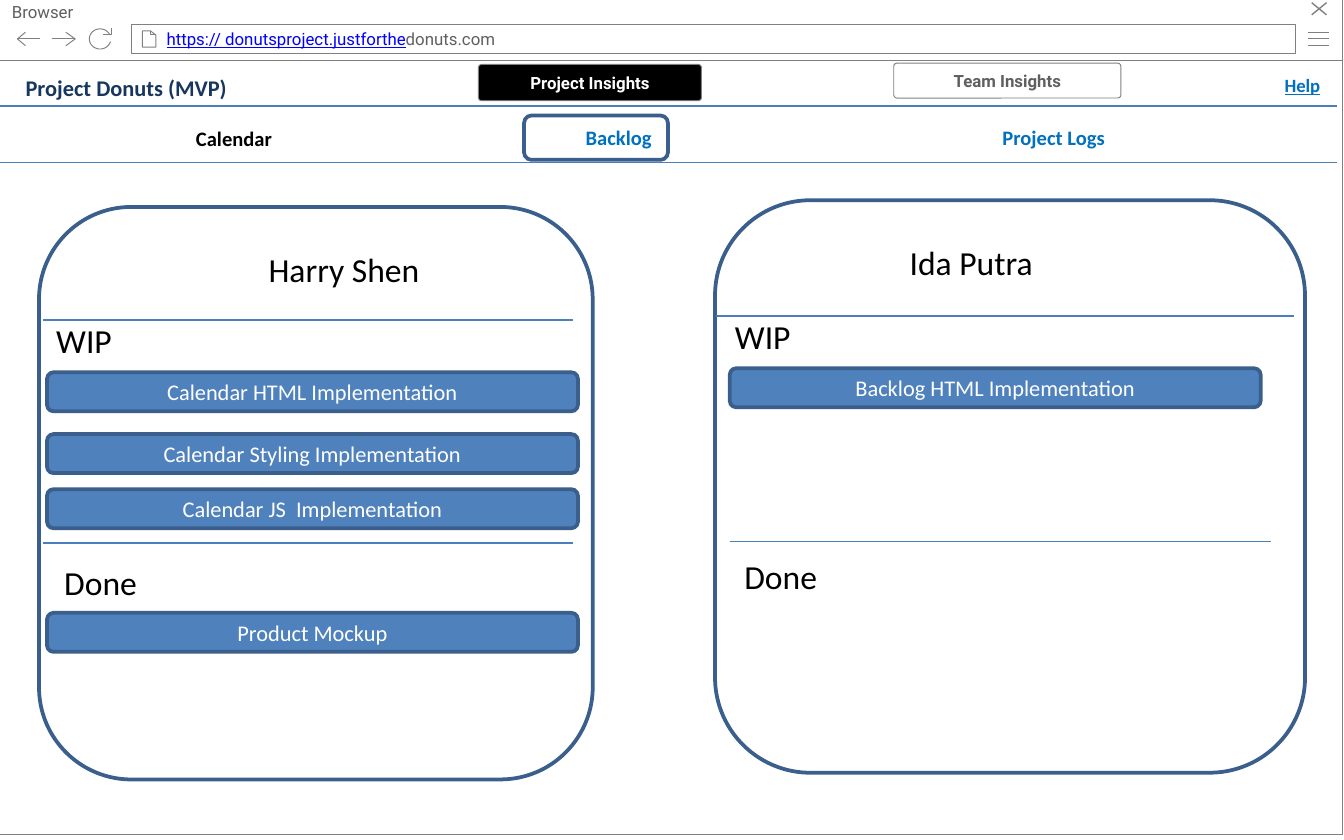
import math
from dataclasses import dataclass
from typing import Optional

import pptx
import pptx.dml.color
import pptx.enum.shapes
import pptx.enum.text
import pptx.oxml.ns
import pptx.util
from lxml import etree

Inches = pptx.util.Inches
ALIGN = pptx.enum.text.PP_ALIGN
ANCHOR = pptx.enum.text.MSO_ANCHOR
SHAPE = pptx.enum.shapes.MSO_SHAPE


@dataclass(frozen=True)
class Theme:
    body_font: str = "Calibri"
    chrome_font: str = "Roboto"
    white: str = "FFFFFF"
    black: str = "000000"
    gray: str = "808080"
    chrome_text: str = "5F5F5F"
    url: str = "0000FF"
    title: str = "17375E"
    link: str = "0070C0"
    card: str = "4F81BD"
    border: str = "3A5F8C"
    rule: str = "4B7EBC"
    chrome_size: float = 9
    help_size: float = 10
    tab_size: float = 11
    card_size: float = 12
    title_size: float = 12
    heading_size: float = 18
    thin: float = 0.5
    medium: float = 0.75
    thick: float = 2


T = Theme()


@dataclass(frozen=True)
class Box:
    x: float
    y: float
    w: float
    h: float

    def emu(self) -> tuple:
        return tuple(Inches(v) for v in (self.x, self.y, self.w, self.h))


@dataclass(frozen=True)
class Style:
    size: float
    color: str
    bold: bool = False
    underline: bool = False
    font: str = T.body_font


@dataclass(frozen=True)
class Label:
    text: str
    box: Box
    style: Style


@dataclass(frozen=True)
class Rule:
    x1: float
    x2: float
    y: float


@dataclass(frozen=True)
class Card:
    text: str
    x: float
    y: float


@dataclass(frozen=True)
class Column:
    panel: Box
    rules: tuple
    headings: tuple  # (text, x, y)
    cards: tuple


def rgb(color: str) -> pptx.dml.color.RGBColor:
    return pptx.dml.color.RGBColor.from_string(color)


def format_run(r, style: Style) -> None:
    r.font.name, r.font.size = style.font, pptx.util.Pt(style.size)
    r.font.bold, r.font.underline = style.bold, style.underline
    r.font.color.rgb = rgb(style.color)


def write(s, text: str, style: Style, align=ALIGN.LEFT, anchor=ANCHOR.TOP) -> None:
    tf = s.text_frame
    tf.word_wrap, tf.vertical_anchor = True, anchor
    tf.text = text
    p = tf.paragraphs[0]
    p.alignment = align
    format_run(p.runs[0], style)


def outline(s, color: str, width: float, fill: Optional[str] = None) -> None:
    s.shadow.inherit = False
    s.line.color.rgb, s.line.width = rgb(color), pptx.util.Pt(width)
    if fill:
        s.fill.solid()
        s.fill.fore_color.rgb = rgb(fill)
    else:
        s.fill.background()


def add_box(shapes, box: Box, color: str, width: float, fill: Optional[str] = None,
            kind=SHAPE.RECTANGLE):
    s = shapes.add_shape(kind, *box.emu())
    outline(s, color, width, fill)
    return s


def add_label(shapes, label: Label) -> None:
    write(shapes.add_textbox(*label.box.emu()), label.text, label.style)


def add_rule(shapes, rule: Rule) -> None:
    y = Inches(rule.y)
    c = shapes.add_connector(pptx.enum.shapes.MSO_CONNECTOR.STRAIGHT,
                             Inches(rule.x1), y, Inches(rule.x2), y)
    c.line.color.rgb, c.line.width = rgb(T.rule), pptx.util.Pt(T.medium)
    etree.SubElement(c.element.spPr, pptx.oxml.ns.qn("a:effectLst"))


def add_icon(shapes, strokes: list, width: float = T.thin) -> None:
    strokes = [[(Inches(x), Inches(y)) for x, y in stroke] for stroke in strokes]
    builder = shapes.build_freeform(*strokes[0][0], scale=1.0)
    for i, stroke in enumerate(strokes):
        if i:
            builder.move_to(*stroke[0])
        builder.add_line_segments(stroke[1:], close=False)
    outline(builder.convert_to_shape(), T.gray, width)


def add_browser(shapes) -> None:
    chrome = Style(T.chrome_size, T.chrome_text, font=T.chrome_font)
    bar = add_box(shapes, Box(-0.01, -0.04, 10, 0.49), T.gray, T.thin, T.white)
    write(bar, "Browser", chrome)
    add_box(shapes, Box(-0.01, 0.45, 10, 5.76), T.gray, T.thin, T.white)

    # Address bar
    address = add_box(shapes, Box(0.98, 0.18, 8.66, 0.22), T.gray, T.thin, T.white)
    write(address, "https:// donutsproject.justforthe",
          Style(T.chrome_size, T.url, underline=True, font=T.chrome_font), anchor=ANCHOR.MIDDLE)
    address.text_frame.margin_left = Inches(0.26)
    r = address.text_frame.paragraphs[0].add_run()
    r.text = "donuts.com"
    format_run(r, chrome)

    # Menu, close, page, back, forward and reload icons
    add_icon(shapes, [[(9.73, y), (9.89, y)] for y in (0.24, 0.29, 0.34)])
    add_icon(shapes, [[(9.87, 0.02), (9.76, 0.11)], [(9.76, 0.02), (9.87, 0.11)]], T.medium)
    add_icon(shapes, [[(1.12, 0.23), (1.12, 0.26), (1.16, 0.26)],
                      [(1.12, 0.23), (1.06, 0.23), (1.06, 0.35), (1.16, 0.35),
                       (1.16, 0.26), (1.12, 0.23)]])
    for tip, wing, tail in ((0.13, 0.19, 0.3), (0.56, 0.49, 0.39)):
        add_icon(shapes, [[(wing, 0.24), (tip, 0.29), (wing, 0.34)], [(tip, 0.29), (tail, 0.29)]])
    arc = [(0.745 + 0.08 * math.cos(math.radians(a)), 0.29 + 0.075 * math.sin(math.radians(a)))
           for a in range(15, 336, 10)]
    add_icon(shapes, [[(0.83, 0.21), (0.83, 0.26), (0.77, 0.26)], arc])


def add_column(shapes, column: Column) -> None:
    add_box(shapes, column.panel, T.border, T.thick, kind=SHAPE.ROUNDED_RECTANGLE)
    for rule in column.rules:
        add_rule(shapes, rule)
    for text, x, y in column.headings:
        add_label(shapes, Label(text, Box(x, y, 1.66, 0.4), Style(T.heading_size, T.black)))
    for card in column.cards:
        s = add_box(shapes, Box(card.x, card.y, 3.95, 0.29), T.border, T.thick, T.card,
                    SHAPE.ROUNDED_RECTANGLE)
        write(s, card.text, Style(T.card_size, T.white), ALIGN.CENTER, ANCHOR.MIDDLE)


TAB_LINK = Style(T.tab_size, T.link, bold=True)
LABELS = (
    Label("Help", Box(9.46, 0.5, 0.53, 0.27), Style(T.help_size, T.link, True, True)),
    Label("Calendar", Box(1.36, 0.89, 1.36, 0.29), Style(T.tab_size, T.black, True)),
    Label("Backlog", Box(4.26, 0.88, 1.36, 0.29), TAB_LINK),
    Label("Project Logs", Box(7.36, 0.88, 1.15, 0.29), TAB_LINK),
)
BUTTONS = (
    ("Project Insights", Box(3.56, 0.48, 1.66, 0.27), T.black, T.white),
    ("Team Insights", Box(6.65, 0.47, 1.69, 0.26), T.white, T.chrome_text),
)
COLUMNS = (
    Column(Box(0.29, 1.54, 4.12, 4.26),
           (Rule(0.32, 4.26, 2.38), Rule(0.32, 4.26, 4.04)),
           (("Harry Shen", 1.9, 1.8), ("WIP", 0.32, 2.33), ("Done", 0.38, 4.13)),
           (Card("Calendar HTML Implementation", 0.35, 2.77),
            Card("Calendar Styling Implementation", 0.35, 3.23),
            Card("Calendar JS  Implementation", 0.35, 3.64),
            Card("Product Mockup", 0.35, 4.56))),
    Column(Box(5.32, 1.49, 4.39, 4.26),
           (Rule(5.33, 9.63, 2.35), Rule(5.43, 9.46, 4.03)),
           (("Ida Putra", 6.67, 1.75), ("WIP", 5.37, 2.3), ("Done", 5.44, 4.09)),
           (Card("Backlog HTML Implementation", 5.43, 2.74),)),
)


def main() -> None:
    prs = pptx.Presentation()
    prs.slide_width, prs.slide_height = Inches(10), Inches(6.25)
    shapes = prs.slides.add_slide(prs.slide_layouts[5]).shapes
    add_browser(shapes)

    # Header: title in front of the window, buttons, tabs
    title = shapes.title
    title.left, title.top, title.width, title.height = Box(0.09, 0.5, 2.15, 0.3).emu()
    write(title, "Project Donuts (MVP)", Style(T.title_size, T.title, True))
    title.text_frame.auto_size = pptx.enum.text.MSO_AUTO_SIZE.NONE
    shapes.element.append(title.element)
    for text, box, fill, color in BUTTONS:
        s = add_box(shapes, box, T.gray, T.thin, fill, SHAPE.ROUNDED_RECTANGLE)
        s.adjustments[0] = 0.09
        write(s, text, Style(T.chrome_size, color, True, font=T.chrome_font),
              ALIGN.CENTER, ANCHOR.MIDDLE)
    for y in (0.79, 1.21):
        add_rule(shapes, Rule(0, 9.95, y))
    for label in LABELS:
        add_label(shapes, label)
    add_box(shapes, Box(3.9, 0.86, 1.07, 0.33), T.border, T.thick, kind=SHAPE.ROUNDED_RECTANGLE)

    # One board column per person
    for column in COLUMNS:
        add_column(shapes, column)
    prs.save("out.pptx")


if __name__ == "__main__":
    main()
